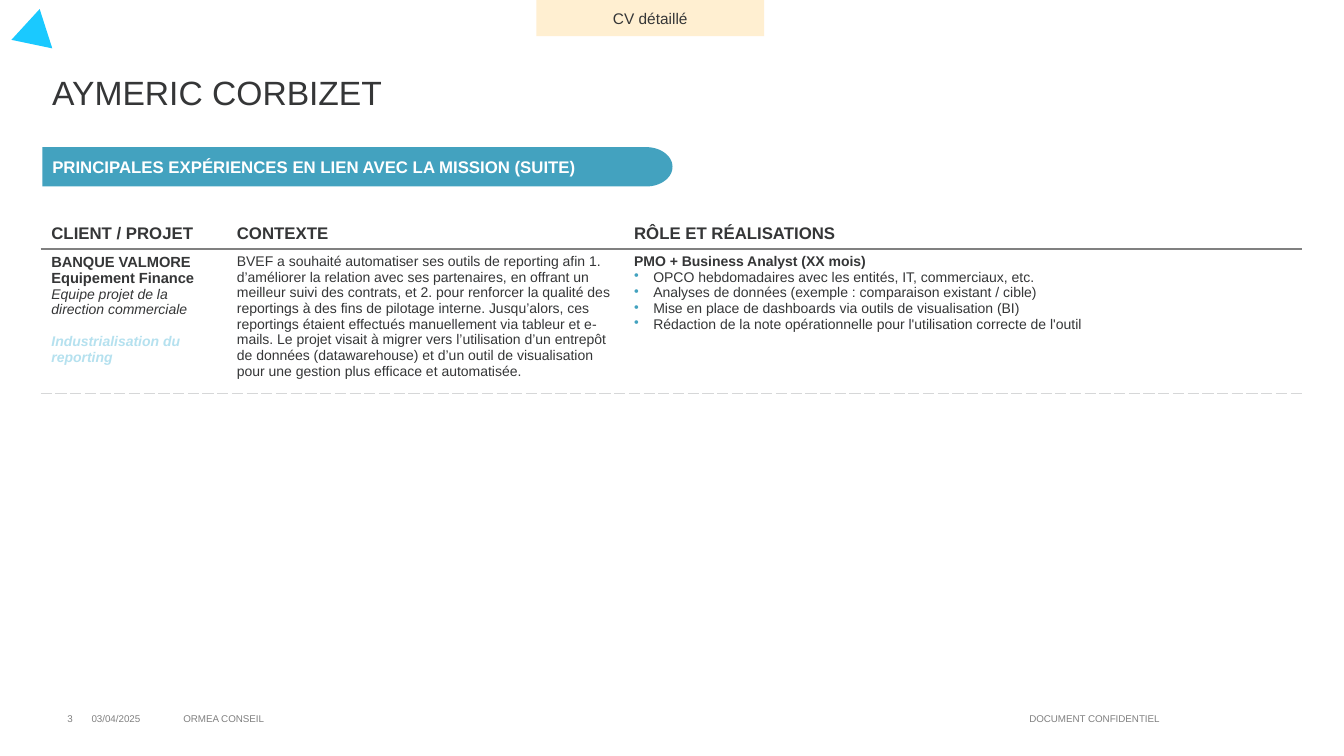
from math import cos, pi, sin

from lxml import etree
from pptx import Presentation
from pptx.dml.color import RGBColor
from pptx.enum.shapes import MSO_SHAPE
from pptx.enum.text import MSO_ANCHOR, PP_ALIGN
from pptx.oxml import parse_xml
from pptx.util import Inches, Pt

MIDDLE = MSO_ANCHOR.MIDDLE
LEFT, CENTER, RIGHT = PP_ALIGN.LEFT, PP_ALIGN.CENTER, PP_ALIGN.RIGHT
NAMESPACE = "http://schemas.openxmlformats.org/drawingml/2006/main"
INK, GREY, TEAL, PALE_TEAL = "353637", "808080", "43A2BF", "B5E1EF"


def color(hex_string):
    return RGBColor.from_string(hex_string)


def write(paragraph, text, size, hex_string, bold=False, italic=False, align=LEFT):
    paragraph.text = text
    paragraph.alignment = align
    font = paragraph.font
    font.name, font.size = "Arial", Pt(size)
    font.bold, font.italic = bold, italic
    font.color.rgb = color(hex_string)
    etree.SubElement(paragraph._p, f"{{{NAMESPACE}}}endParaRPr", sz=str(int(size * 100)))


presentation = Presentation()
presentation.slide_width, presentation.slide_height = Inches(13.33), Inches(7.5)
slide = presentation.slides.add_slide(presentation.slide_layouts[6])
shapes = slide.shapes

triangle = shapes.add_shape(MSO_SHAPE.ISOSCELES_TRIANGLE, Inches(0.08), Inches(0.16), Inches(0.41), Inches(0.36))
triangle.rotation = 252.2

tab = shapes.add_shape(MSO_SHAPE.RECTANGLE, Inches(5.32), 0, Inches(2.26), Inches(0.36))
write(tab.text_frame.paragraphs[0], "CV détaillé", 11, INK, align=CENTER)

banner_left, banner_top, banner_height = Inches(0.42), Inches(1.46), Inches(0.39)
arc_x, arc_width, arc_steps = Inches(6.41), Inches(0.26), 32
radius = banner_height / 2
angles = [pi * step / arc_steps - pi / 2 for step in range(arc_steps + 1)]
arc = [(arc_x + arc_width * cos(angle), banner_top + radius + radius * sin(angle)) for angle in angles]
builder = shapes.build_freeform(banner_left, banner_top)
builder.add_line_segments(arc + [(banner_left, banner_top + banner_height)], close=True)
banner = builder.convert_to_shape()
write(banner.text_frame.paragraphs[0], "PRINCIPALES EXPÉRIENCES EN LIEN AVEC LA MISSION (SUITE)", 12, "FFFFFF", bold=True)

for shape, fill in [(triangle, "1AC9FF"), (tab, "FFEFD1"), (banner, TEAL)]:
    shape.shadow.inherit = False
    shape.fill.solid()
    shape.fill.fore_color.rgb = color(fill)
    shape.line.fill.background()
    shape.text_frame.vertical_anchor = MIDDLE
    shape.text_frame.word_wrap = True

footer_top, footer_height = 6.93, 0.4
labels = [
    ("AYMERIC CORBIZET", 0.42, 0.53, 12.5, 0.76, 24, INK, LEFT),
    ("3", 0.42, footer_top, 0.4, footer_height, 7, GREY, RIGHT),
    ("03/04/2025", 0.81, footer_top, 0.9, footer_height, 7, GREY, LEFT),
    ("ORMEA CONSEIL", 1.72, footer_top, 8.39, footer_height, 7, GREY, LEFT),
    ("DOCUMENT CONFIDENTIEL", 10.1, footer_top, 1.51, footer_height, 7, GREY, CENTER),
]
for text, left, top, width, height, size, hex_string, align in labels:
    box = shapes.add_textbox(Inches(left), Inches(top), Inches(width), Inches(height))
    box.text_frame.word_wrap = True
    box.text_frame.vertical_anchor = MIDDLE
    write(box.text_frame.paragraphs[0], text, size, hex_string, align=align)

column_widths, row_heights = [1.84, 3.94, 6.72], [0.28, 1.35]
experience = shapes.add_table(
    2, 3, Inches(0.41), Inches(2.17), Inches(sum(column_widths)), Inches(sum(row_heights))
).table
experience.first_row = experience.horz_banding = False
for column, width in zip(experience.columns, column_widths):
    column.width = Inches(width)
for row, height in zip(experience.rows, row_heights):
    row.height = Inches(height)

headers = ["CLIENT / PROJET", "CONTEXTE", "RÔLE ET RÉALISATIONS"]
client = [
    ("BANQUE VALMORE Equipement Finance", 10.5, INK, True, False),
    ("Equipe projet de la direction commerciale", 10, INK, False, True),
    ("Industrialisation du reporting", 10, PALE_TEAL, True, True),
]
context = (
    "BVEF a souhaité automatiser ses outils de reporting afin 1. d’améliorer la relation avec ses "
    "partenaires, en offrant un meilleur suivi des contrats, et 2. pour renforcer la qualité des "
    "reportings à des fins de pilotage interne. Jusqu’alors, ces reportings étaient effectués "
    "manuellement via tableur et e-mails. Le projet visait à migrer vers l’utilisation d’un entrepôt "
    "de données (datawarehouse) et d’un outil de visualisation pour une gestion plus efficace et automatisée."
)
role = "PMO + Business Analyst (XX mois)"
achievements = [
    "OPCO hebdomadaires avec les entités, IT, commerciaux, etc.",
    "Analyses de données (exemple : comparaison existant / cible)",
    "Mise en place de dashboards via outils de visualisation (BI)",
    "Rédaction de la note opérationnelle pour l'utilisation correcte de l'outil",
]
body = [
    client,
    [(context, 10, INK, False, False)],
    [(role, 10, INK, True, False)] + [(text, 10, INK, False, False) for text in achievements],
]
rows = [[[(header, 12, INK, True, False)] for header in headers], body]
header_rule, closing_rule = (GREY, "solid"), ("D6D7D8", "sysDash")
rules = [[("lnB", header_rule)], [("lnT", header_rule), ("lnB", closing_rule)]]

for row_index, row in enumerate(rows):
    for column_index, entries in enumerate(row):
        cell = experience.cell(row_index, column_index)
        cell.fill.background()
        if row_index == 0:
            cell.vertical_anchor = MIDDLE
        for position, (edge, (hex_string, dash)) in enumerate(rules[row_index]):
            border = parse_xml(
                f'<a:{edge} xmlns:a="{NAMESPACE}" w="{Pt(1)}"><a:solidFill><a:srgbClr val="{hex_string}"/>'
                f'</a:solidFill><a:prstDash val="{dash}"/></a:{edge}>'
            )
            cell._tc.get_or_add_tcPr().insert(position, border)
        for index, entry in enumerate(entries):
            frame = cell.text_frame
            paragraph = frame.add_paragraph() if index else frame.paragraphs[0]
            if entry[0] in achievements:
                properties = paragraph._p.get_or_add_pPr()
                properties.set("marL", str(Inches(0.19)))
                properties.set("indent", str(-Inches(0.19)))
                bullet_color = etree.SubElement(properties, f"{{{NAMESPACE}}}buClr")
                etree.SubElement(bullet_color, f"{{{NAMESPACE}}}srgbClr", val=TEAL)
                etree.SubElement(properties, f"{{{NAMESPACE}}}buChar", char="•")
            write(paragraph, *entry)
            if entry == client[-1]:
                paragraph.space_before = Pt(11.5)

presentation.save("out.pptx")
